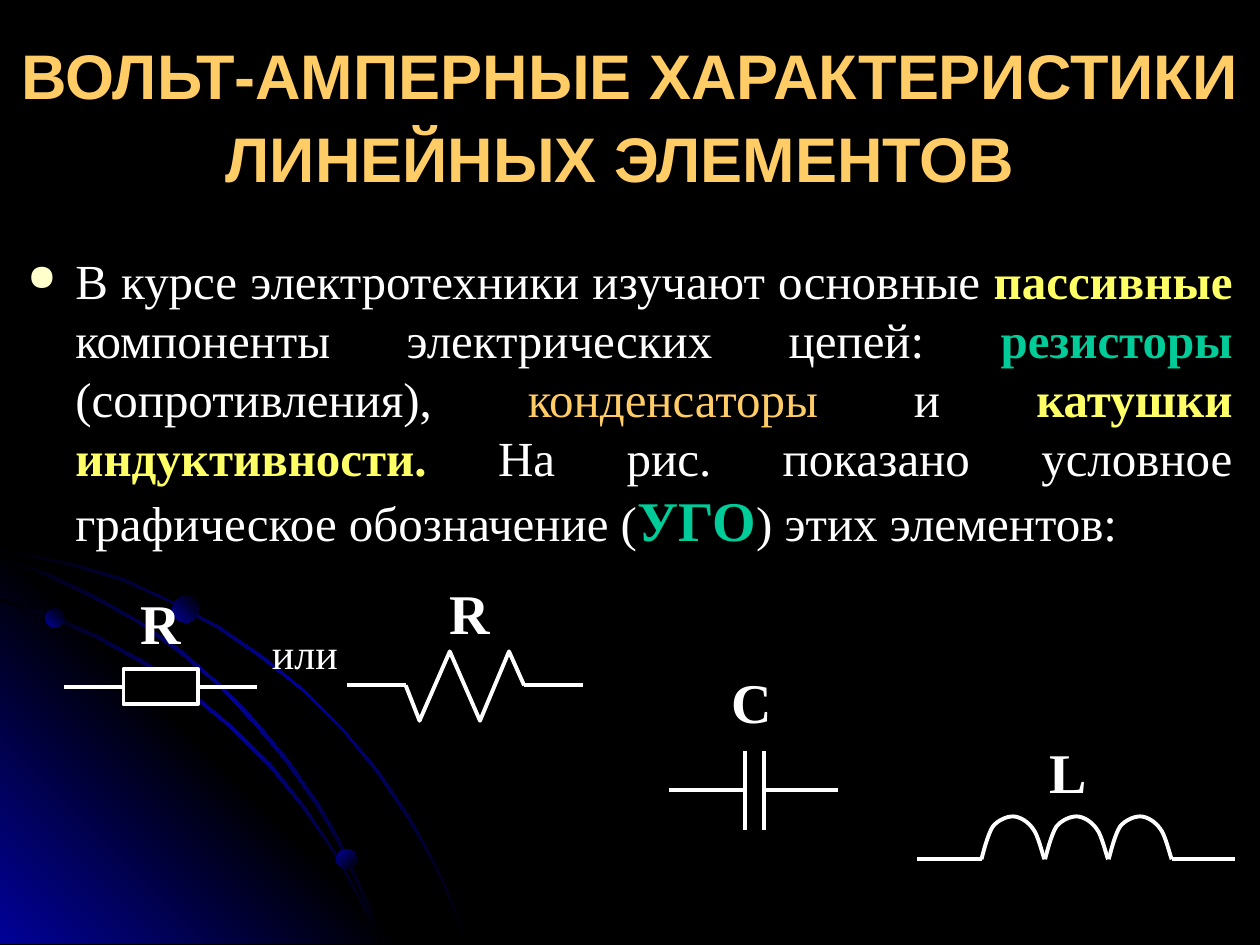
import dataclasses

import lxml.etree
import pptx
import pptx.dml.color
import pptx.enum.shapes
import pptx.enum.text
import pptx.oxml
import pptx.oxml.ns
import pptx.util

Inches = pptx.util.Inches
Pt = pptx.util.Pt
qn = pptx.oxml.ns.qn
Shapes = pptx.enum.shapes.MSO_SHAPE
Align = pptx.enum.text.PP_ALIGN
Anchor = pptx.enum.text.MSO_ANCHOR
Point = tuple[float, float]

COLORS = {"black": "000000", "blue": "010199", "white": "FFFFFF", "gold": "FFCC66",
          "yellow": "FFFF66", "green": "00CC99", "bullet": "FFFFCC", "gray": "B2B2B2"}
SERIF = "Times New Roman"
LINE_WIDTH = Pt(2.25)


@dataclasses.dataclass
class Run:
    """A piece of text with one format."""
    text: str
    color: str = "white"
    bold: bool = False
    size: float = 28
    font: str = SERIF


@dataclasses.dataclass
class Decoration:
    """A gradient outline in the background."""
    points: list[Point]
    stops: list[str]
    angle: int


@dataclasses.dataclass
class Ball:
    """A gradient ball on one of the orbits."""
    left: float
    top: float
    size: float
    angle: int


@dataclasses.dataclass
class Label:
    """A centred caption of a circuit symbol."""
    left: float
    top: float
    width: float
    height: float
    run: Run


ORBIT = ["black", "blue", "black"]
DECORATIONS = [
    Decoration([(0.57, 4.47), (0.28, 4.41), (0, 4.35), (0, 4.38), (0.28, 4.43), (0.56, 4.49),
                (0.97, 4.61), (1.35, 4.78), (1.73, 4.99), (2.08, 5.23), (2.41, 5.49),
                (2.71, 5.79), (2.98, 6.12), (3.23, 6.49), (3.37, 6.73), (3.5, 6.98),
                (3.6, 7.23), (3.7, 7.49), (3.72, 7.49), (3.62, 7.23), (3.52, 6.98),
                (3.39, 6.73), (3.25, 6.48), (3, 6.11), (2.72, 5.78), (2.42, 5.48),
                (2.09, 5.21), (1.74, 4.97), (1.36, 4.77), (0.98, 4.59)], ORBIT, 45),
    Decoration([(3.22, 7.49), (0, 7.49), (0, 4.27)], ["blue", "black", "blue"], 315),
    Decoration([(2.85, 7.14), (2.94, 7.32), (3.01, 7.49), (3.03, 7.49), (2.96, 7.3),
                (2.86, 7.12), (2.66, 6.76), (2.42, 6.4), (2.15, 6.06), (1.84, 5.76),
                (1.52, 5.49), (1.17, 5.26), (0.79, 5.05), (0.41, 4.88), (0, 4.75), (0, 4.77),
                (0.39, 4.9), (0.77, 5.07), (1.15, 5.28), (1.5, 5.51), (1.83, 5.78),
                (2.13, 6.08), (2.4, 6.41), (2.65, 6.77)], ORBIT, 45),
    Decoration([(0, 4.42), (0, 4.44), (0.36, 4.57), (0.74, 4.75), (1.09, 4.94), (1.42, 5.18),
                (1.73, 5.44), (2.02, 5.75), (2.27, 6.05), (2.52, 6.41), (2.67, 6.67),
                (2.8, 6.94), (2.92, 7.22), (3.01, 7.49), (3.03, 7.49), (2.94, 7.2),
                (2.82, 6.93), (2.69, 6.65), (2.54, 6.39), (2.29, 6.03), (2.04, 5.73),
                (1.75, 5.43), (1.44, 5.16), (1.11, 4.93), (0.76, 4.73), (0.39, 4.55)], ORBIT, 45),
]
BALLS = [Ball(0.36, 4.83, 0.15, 315), Ball(2.67, 6.74, 0.16, 45), Ball(1.37, 4.73, 0.21, 315)]

TITLE = [Run("ВОЛЬТ-АМПЕРНЫЕ ХАРАКТЕРИСТИКИ ЛИНЕЙНЫХ ЭЛЕМЕНТОВ", "gold", True, 36, "Arial"),
         Run(" ", "gray", False, 40, "Arial")]
BODY = [Run("В курсе электротехники изучают основные "), Run("пассивные", "yellow", True),
        Run(" компоненты электрических цепей: "), Run("резисторы", "green", True),
        Run(" (сопротивления), "), Run("конденсаторы", "gold"), Run(" и "),
        Run("катушки индуктивности.", "yellow", True),
        Run(" На рис. показано условное графическое обозначение ("),
        Run("УГО", "green", True, 32), Run(") этих элементов: ")]
LABELS = [Label(0.98, 4.62, 0.59, 0.55, Run("R", bold=True, size=32)),
          Label(3.43, 4.54, 0.59, 0.55, Run("R", bold=True, size=32)),
          Label(5.6, 5.25, 0.74, 0.63, Run("C", bold=True, size=32)),
          Label(8.16, 5.8, 0.63, 0.68, Run("L", bold=True, size=32)),
          Label(2.01, 4.93, 0.82, 0.55, Run("или", size=24))]

WIRES = [((0.51, 5.45), (0.98, 5.45)), ((1.57, 5.45), (2.04, 5.45)),
         ((2.75, 5.44), (3.22, 5.44)), ((4.16, 5.44), (4.63, 5.44)),
         ((5.91, 5.96), (5.91, 6.59)), ((6.06, 5.96), (6.06, 6.59)),
         ((5.31, 6.27), (5.91, 6.27)), ((6.06, 6.27), (6.65, 6.27)),
         ((7.28, 6.82), (7.79, 6.82)), ((9.3, 6.82), (9.8, 6.82))]
ZIGZAG = [(3.22, 5.44), (3.33, 5.72), (3.57, 5.17), (3.81, 5.72), (4.04, 5.17), (4.16, 5.44)]
COIL_LEFT, COIL_TOP, TURN_WIDTH, TURN_COUNT = 7.79, 6.48, 0.5, 3
TURN_PITCH = 0.505
TURN_CURVE = [(0, 0.34), (0.01, 0.3), (0.05, 0.14), (0.09, 0.08), (0.13, 0.03), (0.2, 0),
              (0.25, 0), (0.3, 0), (0.37, 0.04), (0.41, 0.1), (0.45, 0.15), (0.48, 0.29),
              (TURN_WIDTH, 0.34)]


def rgb(name: str) -> pptx.dml.color.RGBColor:
    """Return a colour of the palette."""
    return pptx.dml.color.RGBColor.from_string(COLORS[name])


def fill_gradient(shape, stops: list[str], angle: int) -> None:
    """Fill a shape with evenly spaced stops, the angle counted clockwise."""
    shape.shadow.inherit = False
    shape.line.fill.background()
    shape.fill.gradient()
    shape.fill.gradient_angle = 360 - angle
    stop_list = shape._element.spPr.find(".//" + qn("a:gsLst"))
    for stop in list(stop_list):
        stop_list.remove(stop)
    for index, name in enumerate(stops):
        position = str(100000 * index // (len(stops) - 1))
        stop = lxml.etree.SubElement(stop_list, qn("a:gs"), pos=position)
        lxml.etree.SubElement(stop, qn("a:srgbClr"), val=COLORS[name])


def add_outline(slide, points: list[Point], closed: bool):
    """Add a freeform through the points."""
    corners = [(Inches(x), Inches(y)) for x, y in points]
    builder = slide.shapes.build_freeform(*corners[0], scale=1.0)
    builder.add_line_segments(corners[1:], close=closed)
    return builder.convert_to_shape()


def stroke(shape) -> None:
    """Give a shape or connector the white symbol line."""
    shape.line.color.rgb = rgb("white")
    shape.line.width = LINE_WIDTH


def add_open_line(slide, points: list[Point]) -> None:
    """Draw an unfilled white line through the points."""
    shape = add_outline(slide, points, False)
    shape.shadow.inherit = False
    shape.fill.background()
    stroke(shape)


def add_wire(slide, start: Point, end: Point) -> None:
    """Draw a straight white wire."""
    ends = [Inches(value) for value in (*start, *end)]
    wire = slide.shapes.add_connector(pptx.enum.shapes.MSO_CONNECTOR.STRAIGHT, *ends)
    stroke(wire)
    lxml.etree.SubElement(wire._element.spPr, qn("a:effectLst"))


def sample_curve(controls: list[Point], steps: int = 8) -> list[Point]:
    """Turn a chain of cubic curves into points."""
    points = [controls[0]]
    for first in range(0, len(controls) - 1, 3):
        for step in range(1, steps + 1):
            t = step / steps
            weights = ((1 - t) ** 3, 3 * t * (1 - t) ** 2, 3 * t * t * (1 - t), t ** 3)
            points.append(tuple(sum(w * control[axis] for w, control in
                                    zip(weights, controls[first:first + 4])) for axis in (0, 1)))
    return points


def add_text(slide, box: tuple, runs: list[Run], alignment=Align.CENTER, anchor=Anchor.TOP):
    """Add a wrapped text box and return its paragraph."""
    frame = slide.shapes.add_textbox(*(Inches(value) for value in box)).text_frame
    frame.word_wrap = True
    frame.vertical_anchor = anchor
    paragraph = frame.paragraphs[0]
    paragraph.alignment = alignment
    for item in runs:
        run = paragraph.add_run()
        run.text = item.text
        run.font.name = item.font
        run.font.size = Pt(item.size)
        run.font.bold = item.bold
        run.font.color.rgb = rgb(item.color)
    return paragraph


def add_bullet(paragraph) -> None:
    """Give a paragraph a hanging round bullet."""
    paragraph.space_before = Pt(5.6)
    properties = paragraph._p.get_or_add_pPr()
    properties.set("marL", str(Inches(0.38)))
    properties.set("indent", str(-Inches(0.38)))
    color = lxml.etree.SubElement(properties, qn("a:buClr"))
    lxml.etree.SubElement(color, qn("a:srgbClr"), val=COLORS["bullet"])
    lxml.etree.SubElement(properties, qn("a:buSzPct"), val="75000")
    lxml.etree.SubElement(properties, qn("a:buChar"), char="●")


def main() -> None:
    """Build and save the slide."""
    presentation = pptx.Presentation()
    presentation.slide_width, presentation.slide_height = Inches(10), Inches(7.5)
    slide = presentation.slides.add_slide(presentation.slide_layouts[6])
    slide.background.fill.solid()
    slide.background.fill.fore_color.rgb = rgb("black")

    for item in DECORATIONS:
        fill_gradient(add_outline(slide, item.points, True), item.stops, item.angle)
    for ball in BALLS:
        box = [Inches(value) for value in (ball.left, ball.top, ball.size, ball.size)]
        fill_gradient(slide.shapes.add_shape(Shapes.OVAL, *box), ["blue", "black"], ball.angle)

    add_text(slide, (0, 0.3, 10, 1.25), TITLE, anchor=Anchor.MIDDLE)
    add_bullet(add_text(slide, (0.12, 1.94, 9.76, 2.52), BODY, Align.JUSTIFY))

    resistor = slide.shapes.add_shape(Shapes.RECTANGLE, Inches(0.98), Inches(5.31),
                                      Inches(0.59), Inches(0.28))
    resistor.shadow.inherit = False
    resistor.fill.solid()
    resistor.fill.fore_color.rgb = rgb("black")
    stroke(resistor)
    add_open_line(slide, ZIGZAG)
    for turn in range(TURN_COUNT):
        left = COIL_LEFT + turn * TURN_PITCH
        add_open_line(slide, [(left + x, COIL_TOP + y) for x, y in sample_curve(TURN_CURVE)])
    for start, end in WIRES:
        add_wire(slide, start, end)
    for label in LABELS:
        add_text(slide, (label.left, label.top, label.width, label.height), [label.run])
    presentation.save("out.pptx")


main()
